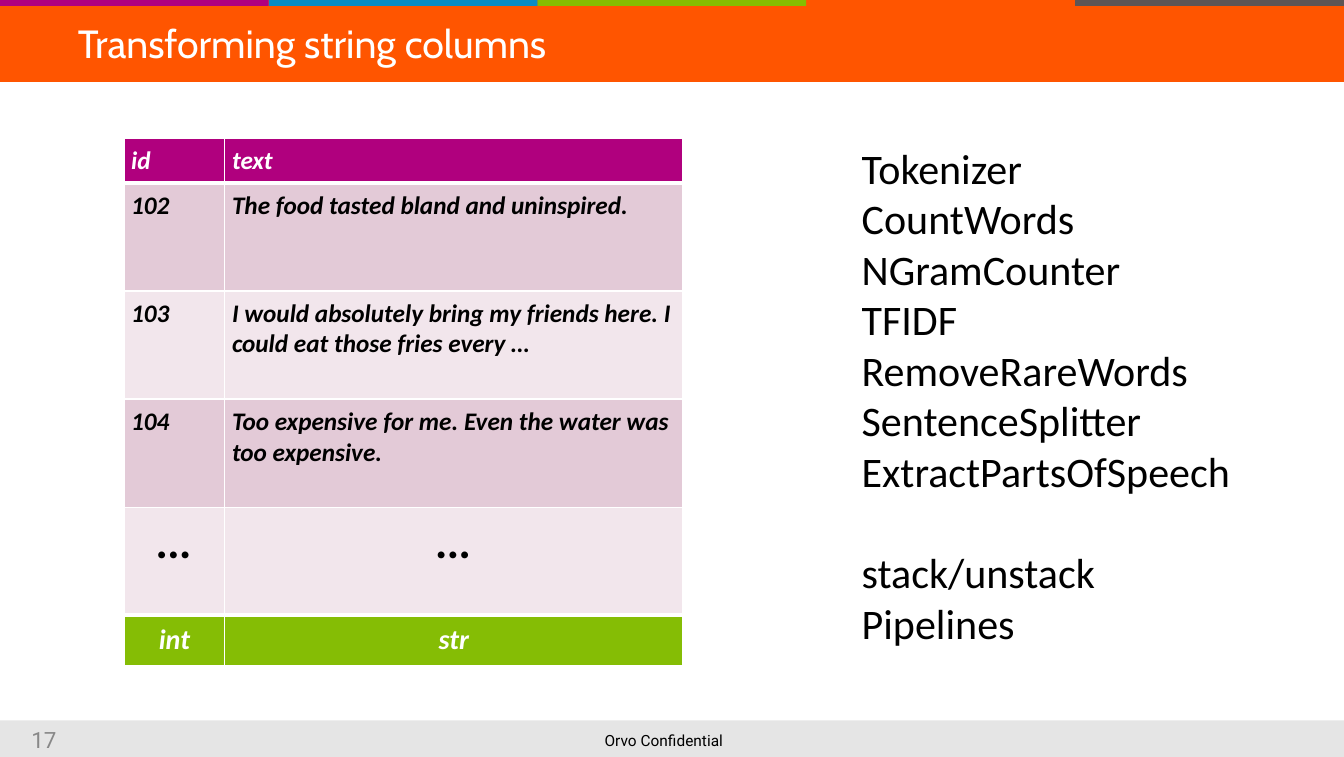
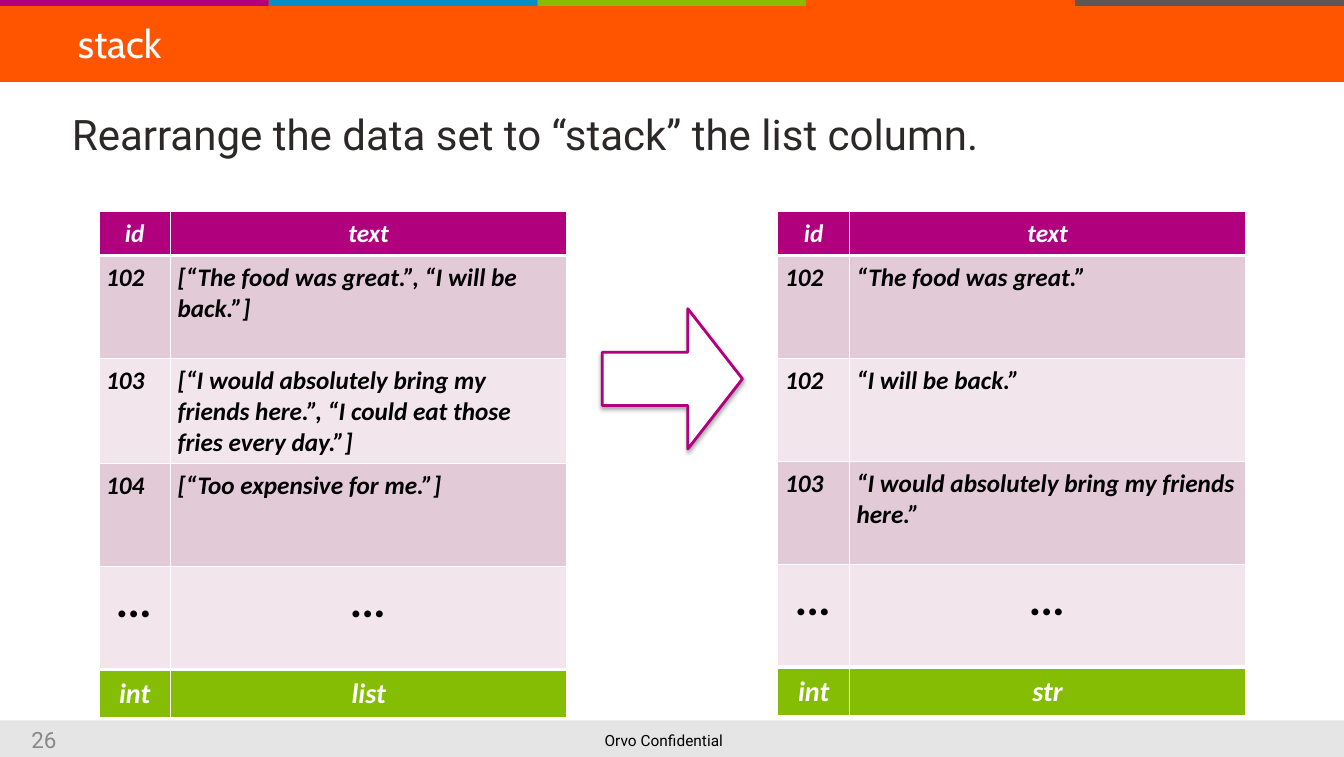
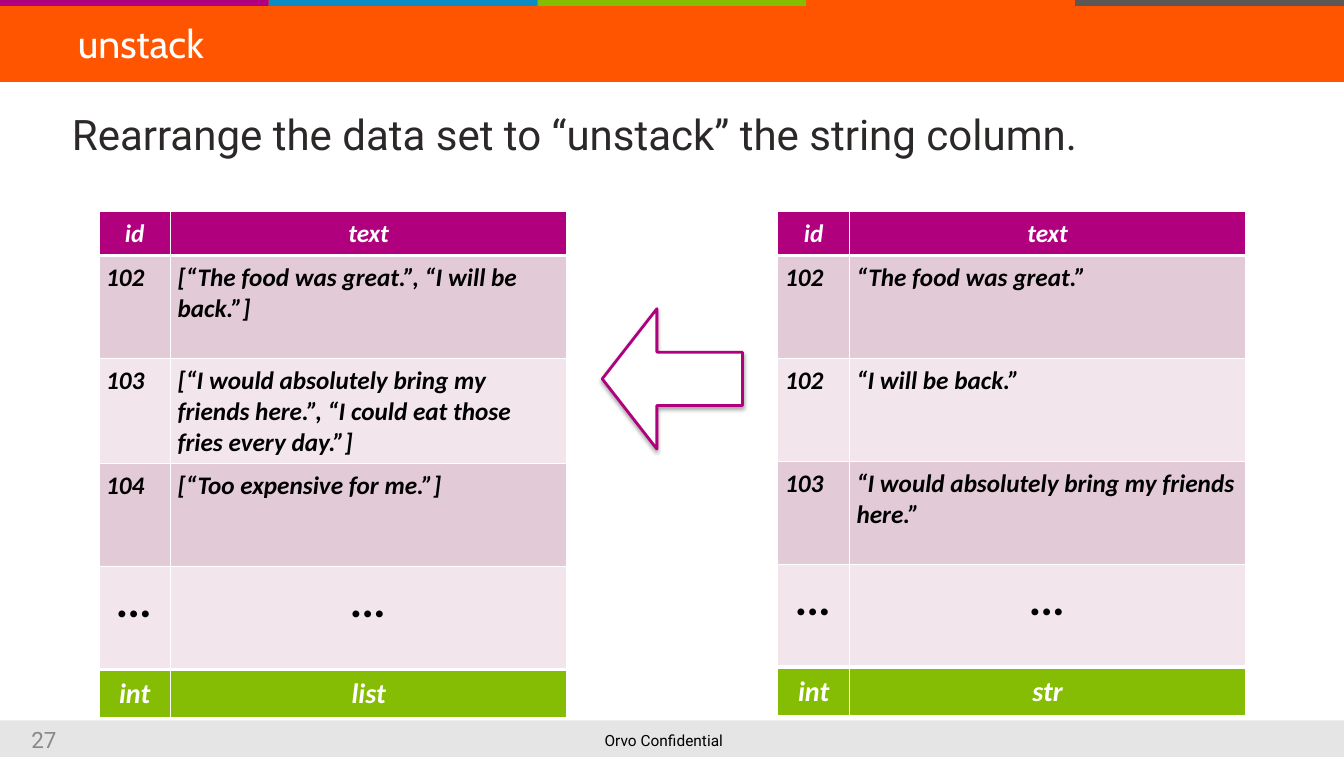
from lxml.etree import SubElement
from pptx import Presentation
from pptx.dml.color import RGBColor as RGB
from pptx.enum.shapes import MSO_SHAPE as SHAPE
from pptx.enum.text import MSO_ANCHOR as ANCHOR, PP_ALIGN as ALIGN
from pptx.oxml import parse_xml
from pptx.oxml.ns import nsdecls, qn
from pptx.util import Cm, Pt

WHITE = RGB(0xFF, 0xFF, 0xFF)
BLACK = RGB(0x00, 0x00, 0x00)
INK = RGB(0x2C, 0x28, 0x28)
GREY = RGB(0x88, 0x88, 0x88)
ORANGE = RGB(0xFF, 0x55, 0x00)
PLUM = RGB(0xB0, 0x00, 0x7E)
LIME = RGB(0x85, 0xBD, 0x05)
ROSE = RGB(0xE3, 0xCA, 0xD7)
BLUSH = RGB(0xF2, 0xE6, 0xEC)
STRIPES = [RGB(0xB0, 0x00, 0x7F), RGB(0x0A, 0x8C, 0xC4), RGB(0x85, 0xBD, 0x00),
           ORANGE, RGB(0x5E, 0x55, 0x55)]

WIDE, HIGH = 33.83, 19.05
FOOTER = "Orvo Confidential"

REVIEWS = [
    ("id", "text"),
    ("102", "The food tasted bland and uninspired."),
    ("103", "I would absolutely bring my friends here. I could eat those fries every …"),
    ("104", "Too expensive for me. Even the water was too expensive."),
    ("…", "…"),
    ("int", "str"),
]
LISTS = [
    ("id", "text"),
    ("102", "[“The food was great.”, “I will be back.”]"),
    ("103", "[“I would absolutely bring my friends here.”, "
            "“I could eat those fries every day.”]"),
    ("104", "[“Too expensive for me.”]"),
    ("…", "…"),
    ("int", "list"),
]
STACKED = [
    ("id", "text"),
    ("102", "“The food was great.”"),
    ("102", "“I will be back.”"),
    ("103", "“I would absolutely bring my friends here.”"),
    ("…", "…"),
    ("int", "str"),
]
TOOLS = ["Tokenizer", "CountWords", "NGramCounter", "TFIDF", "RemoveRareWords",
         "SentenceSplitter", "ExtractPartsOfSpeech"]
SHAPERS = ["stack/unstack", "Pipelines"]
MOVES = [
    ("stack", 26, "Rearrange the data set to “stack” the list column.", SHAPE.RIGHT_ARROW),
    ("unstack", 27, "Rearrange the data set to “unstack” the string column.", SHAPE.LEFT_ARROW),
]


def write(para, text, size, font, color, bold=False):
    run = para.add_run()
    run.text = text
    face = run.font
    face.size, face.name, face.color.rgb = Pt(size), font, color
    face.bold = face.italic = bold


def label(slide, box, lines, size, font, color, wrap=True, align=ALIGN.LEFT,
          anchor=ANCHOR.TOP):
    frame = slide.shapes.add_textbox(*map(Cm, box)).text_frame
    frame.word_wrap, frame.vertical_anchor = wrap, anchor
    frame.margin_left = frame.margin_right = Cm(0.13)
    frame.margin_top = frame.margin_bottom = Cm(0.13)
    for i, line in enumerate(lines):
        para = frame.add_paragraph() if i else frame.paragraphs[0]
        para.alignment = align
        write(para, line, size, font, color)
    return frame


def block(slide, box, color, kind=SHAPE.RECTANGLE):
    shape = slide.shapes.add_shape(kind, *map(Cm, box))
    shape.shadow.inherit = False
    shape.fill.solid()
    shape.fill.fore_color.rgb = color
    shape.line.fill.background()
    return shape


def start(deck, title, number):
    slide = deck.slides.add_slide(deck.slide_layouts[6])
    block(slide, (0, 0, WIDE, 2.06), ORANGE)
    strip = block(slide, (0, 18.13, WIDE, HIGH - 18.13), BLACK)
    tint = strip.fill._xPr.find(qn("a:solidFill"))[0]
    SubElement(tint, qn("a:alpha")).set("val", "10000")
    step = WIDE / len(STRIPES)
    for i, color in enumerate(STRIPES):
        block(slide, (i * step, 0, step, 0.15), color)
    label(slide, (15.09, 18.26, 3.35, 0.71), [FOOTER], 11, "Roboto", BLACK, wrap=False)
    label(slide, (0, 18.16, 1.55, 0.91), [str(number)], 16, "Roboto", GREY,
          align=ALIGN.RIGHT, anchor=ANCHOR.MIDDLE)
    label(slide, (1.83, 0.35, 31, 1.6), [title], 28, "Cabin", WHITE)
    return slide


def edge(cell, top, base):
    props = cell._tc.get_or_add_tcPr()
    for i, (side, size) in enumerate(zip("LRTB", (1, 1, top, base))):
        props.insert(i, parse_xml(
            f'<a:ln{side} {nsdecls("a")} w="{Pt(size)}"><a:solidFill>'
            f'<a:srgbClr val="{WHITE}"/></a:solidFill></a:ln{side}>'))


def grid(slide, rows, left, top, cols, highs, head):
    last = len(rows) - 1
    table = slide.shapes.add_table(len(rows), len(cols), Cm(left), Cm(top),
                                   Cm(sum(cols)), Cm(sum(highs))).table
    table.first_row = table.horz_banding = False
    for col, width in zip(table.columns, cols):
        col.width = Cm(width)
    for r, (texts, high) in enumerate(zip(rows, highs)):
        table.rows[r].height = Cm(high)
        ends = r in (0, last)
        fill = {0: PLUM, last: LIME}.get(r, ROSE if r % 2 else BLUSH)
        size = {0: 18, last: 20, last - 1: 33}.get(r, 18)
        align = head if r == 0 else ALIGN.CENTER if r >= last - 1 else ALIGN.LEFT
        for c, text in enumerate(texts):
            cell = table.cell(r, c)
            cell.margin_left = cell.margin_right = Cm(0.18)
            cell.margin_top = cell.margin_bottom = Cm(0.18)
            cell.fill.solid()
            cell.fill.fore_color.rgb = fill
            edge(cell, 3 if r in (1, last) else 1, 3 if r in (0, last - 1) else 1)
            para = cell.text_frame.paragraphs[0]
            para.alignment = align
            write(para, text, size, "Calibri", WHITE if ends else BLACK, bold=True)


def arrow(slide, kind):
    shape = block(slide, (15.16, 7.77, 3.53, 3.53), WHITE, kind)
    shape.line.color.rgb, shape.line.width = PLUM, Pt(2)
    shape.adjustments[0], shape.adjustments[1] = 0.38, 0.39
    glow = SubElement(shape._element.spPr.find(qn("a:effectLst")), qn("a:outerShdw"),
                      blurRad=str(Pt(3)), dist=str(Pt(1.8)), dir="5400000", rotWithShape="0")
    shade = SubElement(glow, qn("a:srgbClr"), val=str(BLACK))
    SubElement(shade, qn("a:alpha"), val="35000")


def main():
    deck = Presentation()
    deck.slide_width, deck.slide_height = Cm(WIDE), Cm(HIGH)

    slide = start(deck, "Transforming string columns", 17)
    grid(slide, REVIEWS, 3.12, 3.48, (2.54, 11.53), (1.12, *[2.72] * 4, 1.27), ALIGN.LEFT)
    frame = label(slide, (21.56, 3.45, 9.8, 14.6), TOOLS + SHAPERS, 30, "Calibri", BLACK,
                  wrap=False)
    frame.paragraphs[len(TOOLS)].space_before = Pt(36.6)

    for title, number, lead, kind in MOVES:
        slide = start(deck, title, number)
        label(slide, (1.68, 2.59, 30.48, 3.58), [lead], 30, "Roboto", INK)
        for rows, left in ((LISTS, 2.49), (STACKED, 19.58)):
            grid(slide, rows, left, 5.31, (1.8, 9.98), (1.07, *[2.59] * 4, 1.22), ALIGN.CENTER)
        arrow(slide, kind)

    deck.save("out.pptx")


if __name__ == "__main__":
    main()
